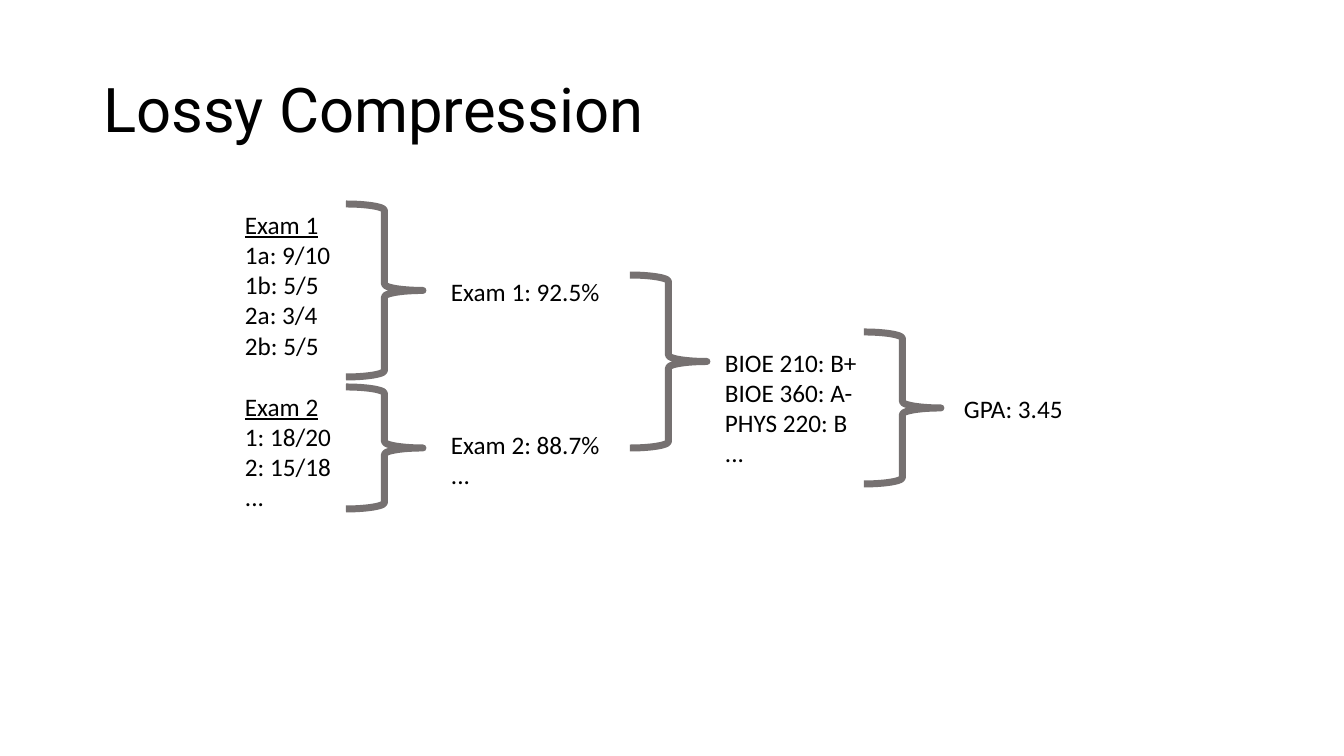
from pptx import Presentation
from pptx.dml.color import RGBColor
from pptx.enum.shapes import MSO_SHAPE as Shape
from pptx.enum.text import MSO_ANCHOR as Anchor, PP_ALIGN as Align
from pptx.util import Pt

EMU_PER_PX = 914400 / 100.8
SLIDE_SIZE = (1344, 756)
TITLE = "Lossy Compression"
TITLE_BOX = (93, 40, 1159, 146)
TITLE_ONLY_LAYOUT = 5
BLACK, GRAY = "000000", "767171"
TEXT_SIZE, LINE_PITCH = 18, 22
TEXT_WIDTH, BRACE_WIDTH = 188, 77

# Each stage: left, top, height, groups of lines, empty line heights between
# groups, and whether each group starts with an underlined heading.
STAGES = [
    (235, 204, 316, [["Exam 1", "1a: 9/10", "1b: 5/5", "2a: 3/4", "2b: 5/5"],
                     ["Exam 2", "1: 18/20", "2: 15/18", "..."]], 1, True),
    (441, 271, 224, [["Exam 1: 92.5%"], ["Exam 2: 88.7%", "..."]], 4, False),
    (715, 342, 132, [["BIOE 210: B+", "BIOE 360: A-", "PHYS 220: B", "..."]], 0, False),
    (954, 388, 40, [["GPA: 3.45"]], 0, False),
]
# Left, top, height
BRACES = [(346, 204, 173), (346, 387, 122), (630, 275, 173), (864, 332, 152)]


def px(*lengths):
    return [round(length * EMU_PER_PX) for length in lengths]


def color(hex_value):
    return RGBColor.from_string(hex_value)


def style(font, name, size):
    font.name, font.size = name, Pt(size)
    font.color.rgb = color(BLACK)


def add_title(slide):
    title = slide.shapes.title
    title.left, title.top, title.width, title.height = px(*TITLE_BOX)
    frame = title.text_frame
    frame.text = TITLE
    frame.vertical_anchor = Anchor.MIDDLE
    para = frame.paragraphs[0]
    para.alignment, para.line_spacing = Align.LEFT, 0.9
    style(para.runs[0].font, "Roboto", 44)


def add_stage(slide, left, top, height, groups, gap_lines, has_headings):
    box = slide.shapes.add_textbox(*px(left, top, TEXT_WIDTH, height))
    frame = box.text_frame
    frame.word_wrap = True
    frame.text = "\n".join(line for group in groups for line in group)
    paras = iter(frame.paragraphs)
    for group_index, group in enumerate(groups):
        for line_index in range(len(group)):
            para = next(paras)
            font = para.runs[0].font
            style(font, "Calibri", TEXT_SIZE)
            if line_index == 0:
                if has_headings:
                    font.underline = True
                if group_index > 0:
                    para.space_before = Pt(gap_lines * LINE_PITCH)


def add_brace(slide, left, top, height):
    brace = slide.shapes.add_shape(
        Shape.RIGHT_BRACE, *px(left, top, BRACE_WIDTH, height))
    brace.shadow.inherit = False
    brace.fill.background()
    brace.line.color.rgb = color(GRAY)
    brace.line.width = Pt(5)


def main():
    deck = Presentation()
    deck.slide_width, deck.slide_height = px(*SLIDE_SIZE)
    slide = deck.slides.add_slide(deck.slide_layouts[TITLE_ONLY_LAYOUT])
    add_title(slide)
    for stage in STAGES:
        add_stage(slide, *stage)
    for brace in BRACES:
        add_brace(slide, *brace)
    deck.save("out.pptx")


if __name__ == "__main__":
    main()
